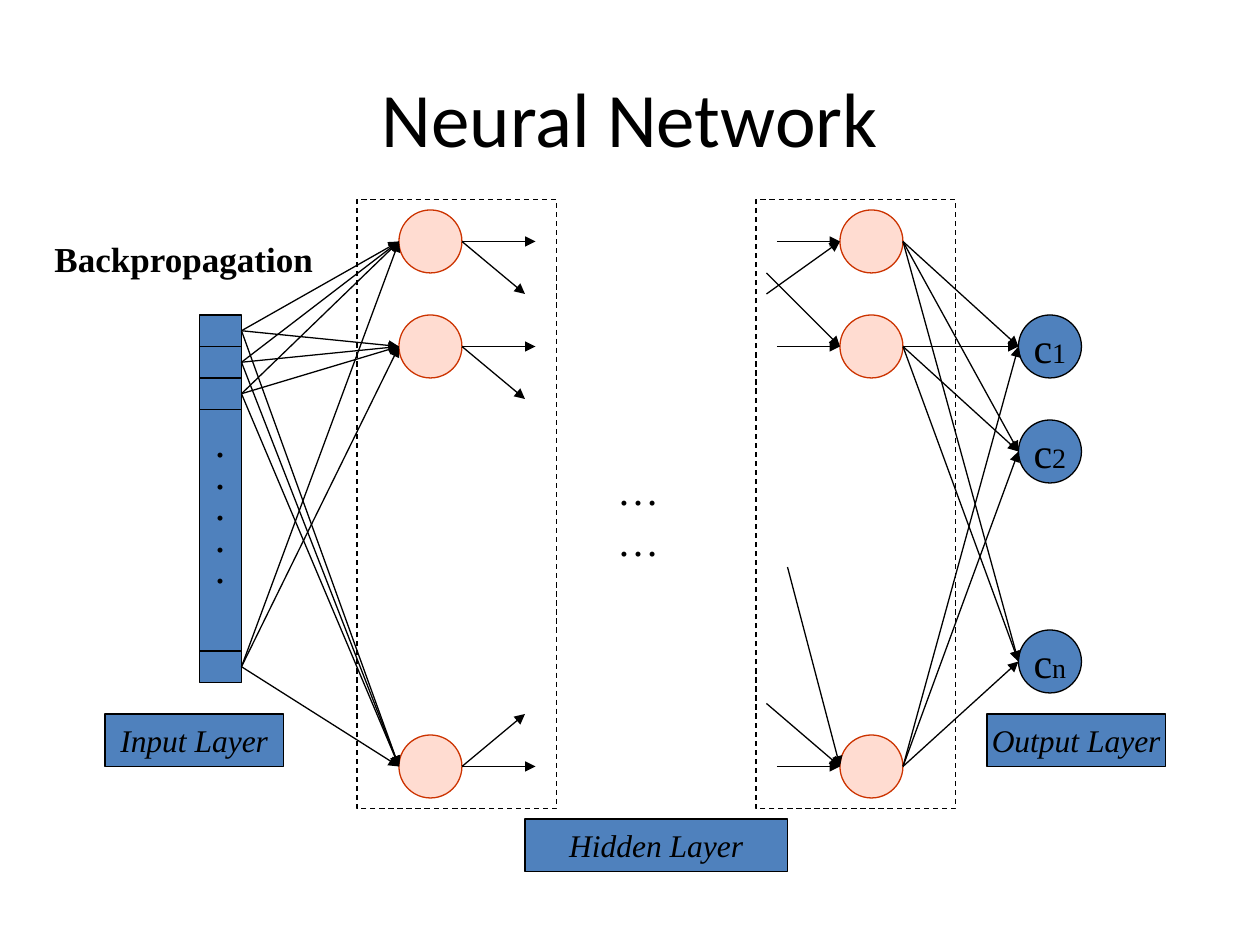
from dataclasses import dataclass
from pptx import Presentation
from pptx.dml.color import RGBColor
from pptx.enum.dml import MSO_LINE
from pptx.enum.shapes import MSO_CONNECTOR, MSO_SHAPE
from pptx.enum.text import MSO_ANCHOR, MSO_AUTO_SIZE, PP_ALIGN
from pptx.oxml.ns import qn
from pptx.util import Pt
from lxml.etree import SubElement

PX = 7620  # EMU per px, 120 px to the inch


@dataclass(frozen=True)
class Theme:
    ink = RGBColor(0x00, 0x00, 0x00)
    blue = RGBColor(0x4F, 0x81, 0xBD)
    pink = RGBColor(0xFF, 0xDC, 0xD1)
    red = RGBColor(0xCC, 0x33, 0x00)
    head = "Calibri"
    body = "Times New Roman"
    title = 44
    large = 24
    note = 20
    label = 18
    small = 16
    line = Pt(0.75)


theme = Theme()
prs = Presentation()
prs.slide_width, prs.slide_height = 1200 * PX, 900 * PX
slide = prs.slides.add_slide(prs.slide_layouts[5])
shapes = slide.shapes


def node(kind, box, fill=theme.blue, edge=theme.ink):
    """Add a plain outlined shape; fill None leaves it open."""
    shape = shapes.add_shape(kind, *[n * PX for n in box])
    shape.shadow.inherit = False
    if fill is None:
        shape.fill.background()
    else:
        shape.fill.solid()
        shape.fill.fore_color.rgb = fill
    shape.line.color.rgb = edge
    shape.line.width = theme.line
    return shape


def write(shape, runs, align=PP_ALIGN.CENTER, face=theme.body, bold=False, italic=False):
    """Write (text, size) runs on one unwrapped line."""
    frame = shape.text_frame
    frame.word_wrap = False
    para = frame.paragraphs[0]
    para.alignment = align
    for text, size in runs:
        run = para.add_run()
        run.text = text
        font = run.font
        font.name, font.size = face, Pt(size)
        font.bold, font.italic = bold, italic
        font.color.rgb = theme.ink


# Title
title = shapes.title
title.left, title.top, title.width, title.height = [n * PX for n in (60, 36, 1080, 150)]
title.text_frame.vertical_anchor = MSO_ANCHOR.MIDDLE
write(title, [("Neural Network", theme.title)], face=theme.head)

# Input vector: four unit cells around one long cell
cells = [node(MSO_SHAPE.RECTANGLE, (190, y, 40, 30)) for y in (300, 330, 360, 620)]
node(MSO_SHAPE.RECTANGLE, (190, 390, 40, 230))

# Hidden and output nodes
size = 60
rows = (230, 330, 730)
goals = (330, 430, 630)
for x in (380, 800):
    for y in rows:
        node(MSO_SHAPE.OVAL, (x, y - size // 2, size, size), theme.pink, theme.red)
for y, mark in zip(goals, "12n"):
    ball = node(MSO_SHAPE.OVAL, (970, y - size // 2, size, size))
    ball.text_frame.vertical_anchor = MSO_ANCHOR.MIDDLE
    write(ball, [("c", theme.large), (mark, theme.small)])

# Arrows as (source cell or None, start, end)
links = [(cell, (230, 0), (380, y)) for cell in cells for y in rows]
for y, turn in zip(rows, (50, 50, -50)):
    links += [
        (None, (440, y), (510, y)),
        (None, (440, y), (500, y + turn)),
        (None, (740, y), (800, y)),
    ]
links += [(None, (860, y), (970, goal)) for y in rows for goal in goals]
links += [
    (None, (730, 280), (800, 230)),
    (None, (730, 260), (800, 330)),
    (None, (730, 670), (800, 730)),
    (None, (750, 540), (800, 730)),
]
for cell, start, end in links:
    ends = [n * PX for n in start + end]
    arrow = shapes.add_connector(MSO_CONNECTOR.STRAIGHT, *ends)
    if cell is not None:
        arrow.begin_connect(cell, 3)
    arrow.line.color.rgb = theme.ink
    arrow.line.width = theme.line
    SubElement(arrow.line._get_or_add_ln(), qn("a:tailEnd"), type="triangle")
    SubElement(arrow._element.spPr, qn("a:effectLst"))

# Dashed frames round the hidden layers
for x in (340, 720):
    frame = node(MSO_SHAPE.RECTANGLE, (x, 190, 190, 580), None)
    frame.line.dash_style = MSO_LINE.DASH

# Layer labels
for text, box in (
    ("Input Layer", (100, 680, 170, 50)),
    ("Hidden Layer", (500, 780, 250, 50)),
    ("Output Layer", (940, 680, 170, 50)),
):
    label = node(MSO_SHAPE.RECTANGLE, box)
    label.text_frame.vertical_anchor = MSO_ANCHOR.MIDDLE
    write(label, [(text, theme.label)], italic=True)

# Free text: dots in the long cell, ellipsis, method name
notes = [(".", (193, 390 + 30 * i, 34, 60), theme.large, False) for i in range(5)]
notes += [
    ("……", (576, 436, 103, 60), theme.large, False),
    ("Backpropagation", (40, 220, 270, 53), theme.note, True),
]
for text, box, points, bold in notes:
    note = shapes.add_textbox(*[n * PX for n in box])
    note.text_frame.auto_size = MSO_AUTO_SIZE.SHAPE_TO_FIT_TEXT
    write(note, [(text, points)], PP_ALIGN.LEFT, bold=bold)

prs.save("out.pptx")
